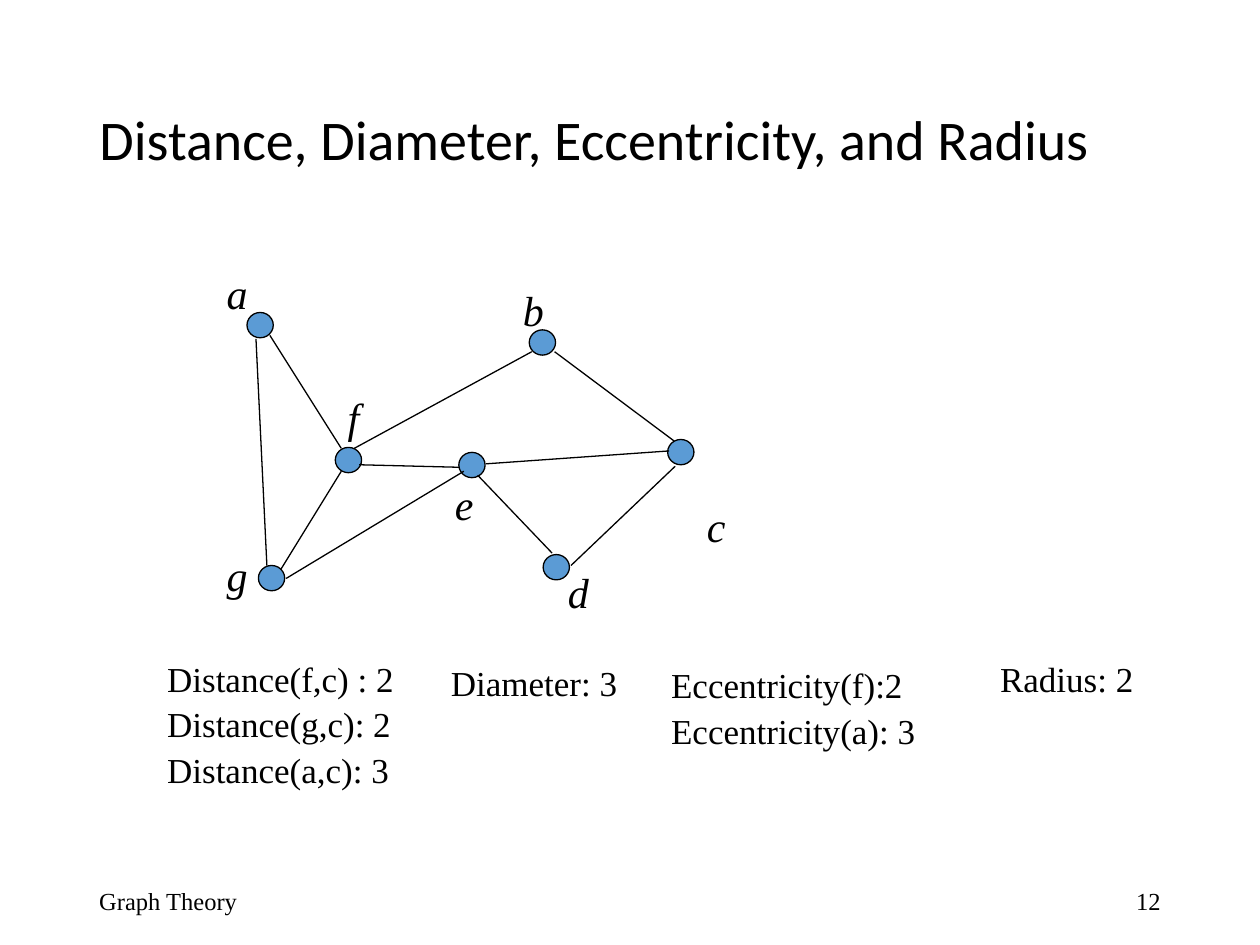
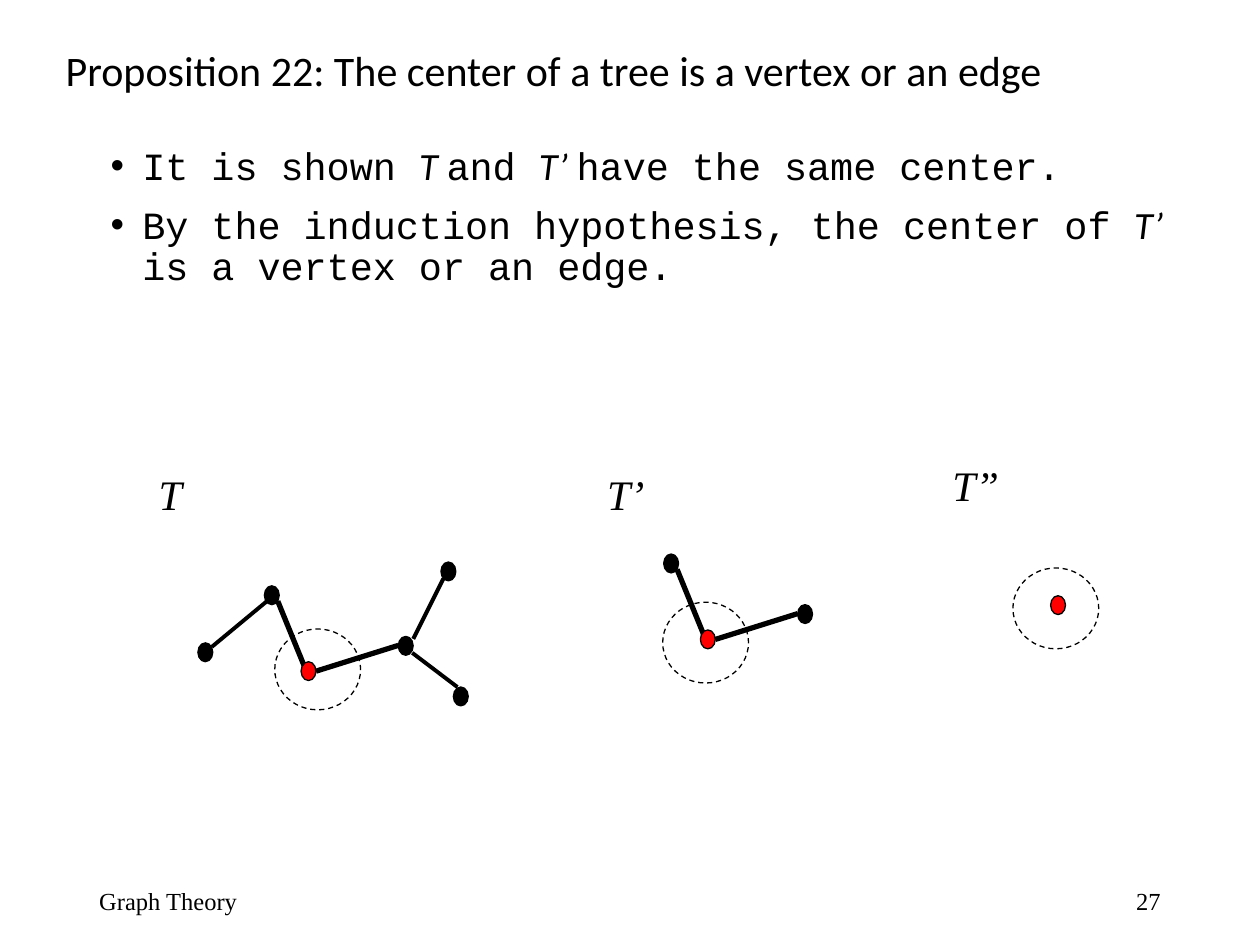
from dataclasses import dataclass
from typing import Any

from lxml import etree
from pptx import Presentation
from pptx.dml.color import RGBColor
from pptx.enum.dml import MSO_LINE
from pptx.enum.shapes import MSO_CONNECTOR, MSO_SHAPE
from pptx.enum.text import MSO_ANCHOR, MSO_AUTO_SIZE, PP_ALIGN
from pptx.oxml.ns import qn
from pptx.util import Cm, Pt

BLACK = RGBColor(0x00, 0x00, 0x00)
BLUE = RGBColor(0x5B, 0x9B, 0xD5)
RED = RGBColor(0xFF, 0x00, 0x00)

OVAL = MSO_SHAPE.OVAL
STRAIGHT = MSO_CONNECTOR.STRAIGHT
DASH = MSO_LINE.DASH
TOP, MIDDLE = MSO_ANCHOR.TOP, MSO_ANCHOR.MIDDLE
LEFT, RIGHT = PP_ALIGN.LEFT, PP_ALIGN.RIGHT
NO_AUTOFIT = MSO_AUTO_SIZE.NONE
TITLE_ONLY = 5

SERIF, SANS, MONO = "Times New Roman", "Calibri", "Courier New"
FOOTER_FONT = {"name": SERIF, "size": Pt(14)}
LABEL_FONT = {"name": SERIF, "size": Pt(24), "italic": True}
FACT_FONT = {"name": SERIF, "size": Pt(20)}
PROSE_FONT = {"name": MONO, "size": Pt(22)}
SYMBOL_FONT = {"name": SANS, "size": Pt(22), "italic": True}


@dataclass(frozen=True)
class Box:
    """A rectangle in centimetres."""
    left: float
    top: float
    width: float
    height: float


@dataclass(frozen=True)
class Vertex:
    label: str
    left: float
    top: float
    label_left: float
    label_top: float


@dataclass(frozen=True)
class Edge:
    x1: float
    y1: float
    x2: float
    y2: float
    weight: float = 0.75


@dataclass(frozen=True)
class Fact:
    box: Box
    lines: tuple[str, ...]


@dataclass(frozen=True)
class Tree:
    """A tree placed by the corner of its centre vertex; the rest is relative."""
    label: str
    label_left: float
    label_top: float
    left: float
    top: float
    ring_dx: float
    ring_dy: float
    vertices: tuple[tuple[float, float], ...] = ()
    edges: tuple[Edge, ...] = ()


VERTICES = (
    Vertex("a", 4.98, 6.3, 4.32, 5.26),
    Vertex("b", 10.67, 6.65, 10.29, 5.61),
    Vertex("c", 13.46, 8.86, 14, 9.96),
    Vertex("d", 10.95, 11.18, 11.2, 11.3),
    Vertex("e", 9.25, 9.12, 8.92, 9.53),
    Vertex("f", 6.76, 9.02, 6.76, 7.77),
    Vertex("g", 5.21, 11.4, 4.32, 10.95),
)
EDGES = (
    Edge(5.66, 11.48, 6.88, 9.5),
    Edge(5.44, 6.76, 6.88, 9.04),
    Edge(5.16, 6.83, 5.38, 11.4),
    Edge(5.77, 11.66, 9.35, 9.5),
    Edge(7.24, 9.37, 9.27, 9.42),
    Edge(9.63, 9.58, 11.13, 11.15),
    Edge(9.8, 9.35, 13.49, 9.09),
    Edge(11.51, 11.4, 13.61, 9.4),
    Edge(11.18, 7.09, 13.59, 8.89),
    Edge(7.14, 9.04, 10.72, 7.09),
)
FACTS = (
    Fact(Box(3.12, 13.13, 5.28, 2.9),
         ("Distance(f,c) : 2", "Distance(g,c): 2", "Distance(a,c): 3")),
    Fact(Box(13.28, 13.26, 6.12, 1.98),
         ("Eccentricity(f):2", "Eccentricity(a): 3")),
    Fact(Box(8.84, 13.21, 4.37, 1.09), ("Diameter: 3",)),
    Fact(Box(19.91, 13.13, 3.71, 1.09), ("Radius: 2",)),
)

INNER_VERTICES = ((1.96, -0.51), (-0.74, -1.53))
INNER_EDGES = (Edge(0.3, 0.19, 1.96, -0.33, 3), Edge(0.06, 0.08, -0.47, -1.22, 3))
LEAVES = ((2.82, -2.01), (3.07, 0.51), (-2.08, -0.38))
LEAF_EDGES = (
    Edge(2.26, -0.46, 2.87, -1.68, 2.25),
    Edge(3.15, 0.51, 2.24, -0.18, 2.25),
    Edge(-1.8, -0.3, -0.69, -1.22, 2.25),
)
TREES = (
    Tree("T", 2.95, 9.32, 6.07, 13.34, -0.53, -0.66,
         INNER_VERTICES + LEAVES, INNER_EDGES + LEAF_EDGES),
    Tree("T’", 11.99, 9.32, 14.12, 12.7, -0.76, -0.56,
         INNER_VERTICES, INNER_EDGES),
    Tree("T”", 18.95, 9.14, 21.18, 12.01, -0.76, -0.56),
)
PROOF_STEPS = (
    (("It is shown ", PROSE_FONT), ("T ", SYMBOL_FONT), ("and ", PROSE_FONT),
     ("T’ ", SYMBOL_FONT), ("have the same center.", PROSE_FONT)),
    (("By the induction hypothesis, the center of ", PROSE_FONT),
     ("T’ ", SYMBOL_FONT), ("is a vertex or an edge.", PROSE_FONT)),
)


def lengths(box: Box) -> tuple[Cm, Cm, Cm, Cm]:
    return Cm(box.left), Cm(box.top), Cm(box.width), Cm(box.height)


def add_run(paragraph: Any, text: str, font_format: dict[str, Any]) -> None:
    run = paragraph.add_run()
    run.text = text
    for key, value in font_format.items():
        setattr(run.font, key, value)
    run.font.color.rgb = BLACK


def add_text(slide: Any, box: Box, lines: tuple[str, ...], font_format: dict[str, Any],
             anchor: Any = TOP, align: Any = LEFT) -> None:
    frame = slide.shapes.add_textbox(*lengths(box)).text_frame
    frame.word_wrap = True
    frame.vertical_anchor = anchor
    for index, line in enumerate(lines):
        paragraph = frame.add_paragraph() if index else frame.paragraphs[0]
        paragraph.alignment = align
        if index:
            paragraph.space_before = Pt(1.9)
        add_run(paragraph, line, font_format)


def add_oval(slide: Any, box: Box, fill: RGBColor | None) -> None:
    """Draw a filled vertex, or a dashed ring when there is no fill."""
    oval = slide.shapes.add_shape(OVAL, *lengths(box))
    oval.shadow.inherit = False
    oval.line.color.rgb = BLACK
    oval.line.width = Pt(0.75)
    if fill is None:
        oval.fill.background()
        oval.line.dash_style = DASH
    else:
        oval.fill.solid()
        oval.fill.fore_color.rgb = fill


def add_edge(slide: Any, edge: Edge, dx: float = 0, dy: float = 0) -> None:
    line = slide.shapes.add_connector(
        STRAIGHT, Cm(edge.x1 + dx), Cm(edge.y1 + dy), Cm(edge.x2 + dx), Cm(edge.y2 + dy))
    line.line.color.rgb = BLACK
    line.line.width = Pt(edge.weight)
    etree.SubElement(line._element.spPr, qn("a:effectLst"))


def add_slide(deck: Any, title: str, box: Box, size: int, spacing: float,
              number: str) -> Any:
    """Add a slide with its title, footer and page number."""
    slide = deck.slides.add_slide(deck.slide_layouts[TITLE_ONLY])
    heading = slide.shapes.title
    heading.left, heading.top, heading.width, heading.height = lengths(box)
    frame = heading.text_frame
    frame.auto_size = NO_AUTOFIT
    frame.vertical_anchor = MIDDLE
    paragraph = frame.paragraphs[0]
    paragraph.alignment = LEFT
    paragraph.line_spacing = spacing
    add_run(paragraph, title, {"name": SANS, "size": Pt(size)})
    for left, text, align in ((1.75, "Graph Theory", LEFT), (17.93, number, RIGHT)):
        add_text(slide, Box(left, 17.65, 5.72, 1.02), (text,), FOOTER_FONT, MIDDLE, align)
    return slide


def add_proof_steps(slide: Any) -> None:
    frame = slide.shapes.add_textbox(*lengths(Box(1.98, 2.84, 22.17, 3.4))).text_frame
    frame.word_wrap = True
    for index, step in enumerate(PROOF_STEPS):
        paragraph = frame.add_paragraph() if index else frame.paragraphs[0]
        properties = paragraph._p.get_or_add_pPr()
        properties.set("marL", str(Cm(0.64)))
        properties.set("indent", str(-Cm(0.64)))
        etree.SubElement(properties, qn("a:buFont"), typeface="Arial")
        etree.SubElement(properties, qn("a:buChar"), char="•")
        paragraph.line_spacing = 0.9
        if index:
            paragraph.space_before = Pt(10)
        for text, font_format in step:
            add_run(paragraph, text, font_format)


def add_tree(slide: Any, tree: Tree) -> None:
    for dx, dy in tree.vertices:
        add_oval(slide, Box(tree.left + dx, tree.top + dy, 0.3, 0.38), BLACK)
    for edge in tree.edges:
        add_edge(slide, edge, tree.left, tree.top)
    add_oval(slide, Box(tree.left, tree.top, 0.3, 0.38), RED)
    ring = Box(tree.left + tree.ring_dx, tree.top + tree.ring_dy, 1.73, 1.63)
    add_oval(slide, ring, None)
    add_text(slide, Box(tree.label_left, tree.label_top, 2.92, 1.27),
             (tree.label,), LABEL_FONT)


def add_distance_slide(deck: Any) -> None:
    slide = add_slide(deck, "Distance, Diameter, Eccentricity, and Radius",
                      Box(1.75, 1.02, 21.89, 3.68), 32, 0.9, "12")
    for vertex in VERTICES:
        add_oval(slide, Box(vertex.left, vertex.top, 0.53, 0.51), BLUE)
    for edge in EDGES:
        add_edge(slide, edge)
    for vertex in VERTICES:
        add_text(slide, Box(vertex.label_left, vertex.label_top, 1.3, 1.27),
                 (vertex.label,), LABEL_FONT)
    for fact in FACTS:
        add_text(slide, fact.box, fact.lines, FACT_FONT)


def add_center_slide(deck: Any) -> None:
    slide = add_slide(deck, "Proposition 22: The center of a tree is a vertex or an edge",
                      Box(1.07, 0.5, 23.06, 2.06), 24, 0.7, "27")
    add_proof_steps(slide)
    for tree in TREES:
        add_tree(slide, tree)


def main() -> None:
    deck = Presentation()
    deck.slide_width, deck.slide_height = Cm(25.4), Cm(19.05)
    add_distance_slide(deck)
    add_center_slide(deck)
    deck.save("out.pptx")


if __name__ == "__main__":
    main()
